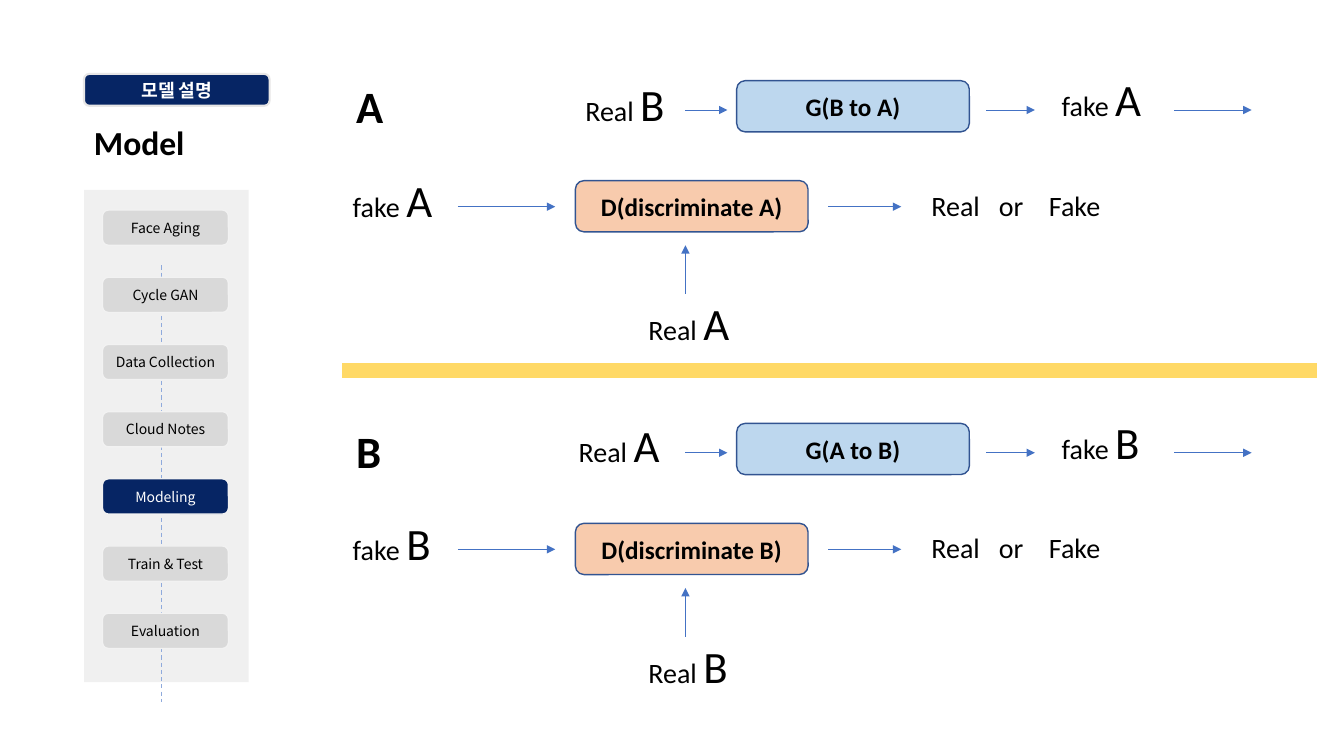
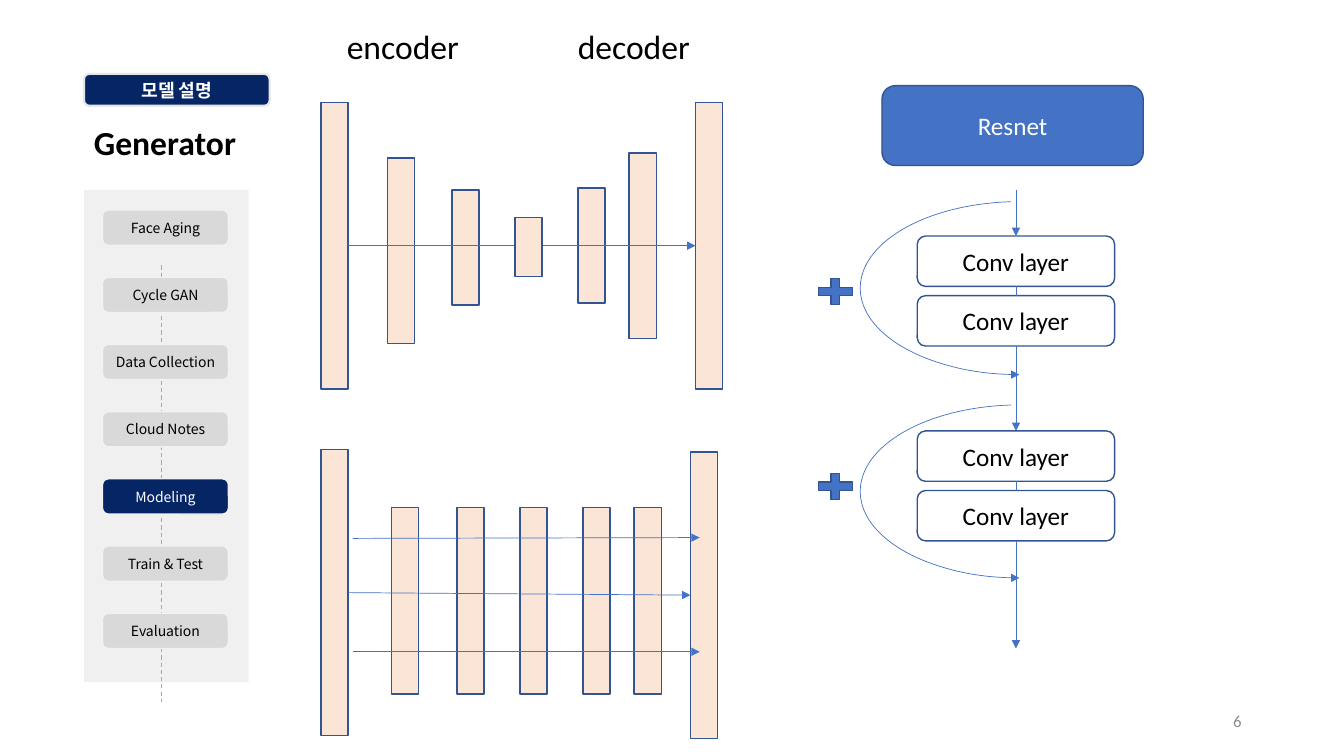
from dataclasses import dataclass

from pptx import Presentation
from pptx.dml.color import RGBColor
from pptx.enum.dml import MSO_LINE
from pptx.enum.shapes import MSO_CONNECTOR, MSO_SHAPE
from pptx.enum.text import MSO_ANCHOR, PP_ALIGN
from pptx.oxml.ns import qn
from pptx.util import Inches, Pt
from lxml.etree import SubElement

COLUMNS, ROWS = 160, 90
TOP, LEFT, BOTTOM, RIGHT = range(4)
STEPS = ("Face Aging", "Cycle GAN", "Data Collection", "Cloud Notes",
         "Modeling", "Train & Test", "Evaluation")


@dataclass(frozen=True)
class Theme:
    black: str = "000000"
    white: str = "FFFFFF"
    navy: str = "062564"
    grey: str = "D9D9D9"
    step_edge: str = "F2F2F2"
    tag_edge: str = "E7E6E6"
    spine: str = "8FAADC"
    page: str = "8C8C8C"
    blue: str = "4472C4"
    edge: str = "325491"
    generator: str = "BDD7EE"
    discriminator: str = "F8CBAD"
    layer: str = "FBE5D6"
    band: str = "FFD966"
    body_font: str = "Calibri"
    menu_font: str = "Noto Sans CJK KR"
    letter_size: int = 32
    title_size: int = 24
    label_size: int = 20
    box_size: int = 18
    tag_size: int = 13
    page_size: int = 12
    step_size: int = 10


THEME = Theme()


def write(shape, text, size=THEME.box_size, color=THEME.black, bold=False,
          font=THEME.body_font, align=PP_ALIGN.LEFT, anchor=MSO_ANCHOR.TOP,
          tabs=()):
    """Fill a shape with a string, or with (string, size) runs; tabs are in columns."""
    frame = shape.text_frame
    frame.word_wrap = True
    frame.vertical_anchor = anchor
    paragraph = frame.paragraphs[0]
    paragraph.alignment = align
    if tabs:
        tab_list = SubElement(paragraph._p.get_or_add_pPr(), qn("a:tabLst"))
        for column in tabs:
            SubElement(tab_list, qn("a:tab"), pos=str(Inches(column / 12)), algn="l")
    for words, run_size in [(text, size)] if isinstance(text, str) else text:
        run = paragraph.add_run()
        run.text = words
        run.font.size = Pt(run_size)
        run.font.bold = bold
        run.font.name = font
        run.font.color.rgb = RGBColor.from_string(color)
        SubElement(run._r.get_or_add_rPr(), qn("a:ea"), typeface=font)


class Deck:
    """Draws on the current slide, with lengths in columns and rows."""

    def __init__(self, theme):
        self.theme = theme
        self.presentation = Presentation()
        self.presentation.slide_width = Inches(13.3333)
        self.presentation.slide_height = Inches(7.5)
        self.slide = None

    def place(self, column, row):
        return (round(self.presentation.slide_width * column / COLUMNS),
                round(self.presentation.slide_height * row / ROWS))

    def text(self, column, row, width, height, words, **style):
        shape = self.slide.shapes.add_textbox(*self.place(column, row),
                                              *self.place(width, height))
        write(shape, words, **style)

    def box(self, column, row, width, height, fill=None, edge=None, edge_width=1,
            kind=MSO_SHAPE.RECTANGLE, alpha=None, words=None, **style):
        shape = self.slide.shapes.add_shape(kind, *self.place(column, row),
                                            *self.place(width, height))
        shape.shadow.inherit = False
        if fill:
            shape.fill.solid()
            shape.fill.fore_color.rgb = RGBColor.from_string(fill)
        else:
            shape.fill.background()
        if alpha:
            color = shape._element.spPr.find(qn("a:solidFill"))[0]
            SubElement(color, qn("a:alpha"), val=str(alpha * 1000))
        if edge:
            shape.line.color.rgb = RGBColor.from_string(edge)
            shape.line.width = Pt(edge_width)
        else:
            shape.line.fill.background()
        if words:
            frame = shape.text_frame
            frame.margin_left = frame.margin_right = 0
            write(shape, words, align=PP_ALIGN.CENTER, anchor=MSO_ANCHOR.MIDDLE, **style)
        return shape

    def rounded(self, *area, **style):
        return self.box(*area, kind=MSO_SHAPE.ROUNDED_RECTANGLE, **style)

    def line(self, start, end, color=None, width=0.5, arrow=True, dash=None):
        """Each end is a (column, row) point or a (shape, side) joint."""
        joined_start, joined_end = (not isinstance(p[0], (int, float)) for p in (start, end))
        connector = self.slide.shapes.add_connector(
            MSO_CONNECTOR.STRAIGHT,
            *((0, 0) if joined_start else self.place(*start)),
            *((0, 0) if joined_end else self.place(*end)))
        if joined_start:
            connector.begin_connect(*start)
        if joined_end:
            connector.end_connect(*end)
        connector.line.color.rgb = RGBColor.from_string(color or self.theme.blue)
        connector.line.width = Pt(width)
        if dash:
            connector.line.dash_style = dash
        properties = connector._element.spPr
        if arrow:
            SubElement(properties.find(qn("a:ln")), qn("a:tailEnd"), type="triangle")
        SubElement(properties, qn("a:effectLst"))

    def skip_arc(self, column, row, width, height):
        """Left-hand arc that runs from the top down to an arrowhead."""
        arc = self.box(column, row, width, height, edge=self.theme.blue,
                       edge_width=0.5, kind=MSO_SHAPE.ARC)
        arc.adjustments[0] = 162
        arc.adjustments[1] = 50.583
        arc.rotation = 180
        SubElement(arc._element.spPr.find(qn("a:ln")), qn("a:headEnd"), type="triangle")

    def layer_bar(self, column, row, height):
        return self.box(column, row, 3.24, height, fill=self.theme.layer,
                        edge=self.theme.edge)

    def labelled(self, column, row, word, letter):
        theme = self.theme
        self.text(column, row, 15, 7.7,
                  [(word + " ", theme.label_size), (letter, theme.letter_size)])

    def start_slide(self, title, current="Modeling"):
        """Add a slide with its section tag, title and step menu."""
        theme = self.theme
        self.slide = self.presentation.slides.add_slide(
            self.presentation.slide_layouts[6])
        self.text(10, 13.9, 24, 6, title, size=theme.title_size, bold=True)
        self.rounded(10, 8.8, 22.1, 3.8, fill=theme.navy, edge=theme.tag_edge,
                     edge_width=1.5, words="모델 설명", size=theme.tag_size,
                     color=theme.white, bold=True, font=theme.menu_font)
        self.box(10, 22.6, 19.6, 58.6, fill=theme.grey, alpha=37)
        self.line((19.2, 31.6), (19.2, 83.6), color=theme.spine, width=0.75,
                  arrow=False, dash=MSO_LINE.DASH)
        for index, step in enumerate(STEPS):
            active = step == current
            self.rounded(12.2, 25 + 8 * index, 15, 4.2,
                         fill=theme.navy if active else theme.grey,
                         edge=theme.step_edge, words=step, size=theme.step_size,
                         color=theme.white if active else theme.black,
                         font=theme.menu_font)


def draw_cycle(deck, top, heading_row, source_at, source, target):
    """One generator and discriminator pair that produces the target domain."""
    theme = deck.theme
    deck.text(41.2, heading_row, 7.6, 7.7, target, size=theme.letter_size, bold=True)
    deck.labelled(*source_at, "Real", source)
    for column, row, fill, words in (
            (87.7, 9.6, theme.generator, f"G({source} to {target})"),
            (68.5, 21.5, theme.discriminator, f"D(discriminate {target})")):
        deck.rounded(column, top + row, 27.7, 6.1, fill=fill, edge=theme.edge,
                     words=words, bold=True)
    for column, row, word in ((125.2, 8, "fake"), (40.8, 20, "fake"), (76, 34.6, "Real")):
        deck.labelled(column, top + row, word, target)
    for row, start, end in ((13.1, 81.6, 86.6), (13.1, 117.4, 123.2), (13.1, 139.8, 149),
                            (24.6, 54.5, 66.1), (24.6, 98.6, 107.3)):
        deck.line((start, top + row), (end, top + row))
    deck.line((81.6, top + 35), (81.6, top + 29.2))
    deck.text(109.7, top + 21.8, 22.6, 5.3, "Real\tor\tFake",
              size=theme.label_size, tabs=(8.05, 14))


def draw_model(deck):
    deck.start_slide("Model")
    deck.box(40.6, 43.1, 116.3, 2, fill=deck.theme.band, edge=deck.theme.white)
    draw_cycle(deck, 0, 8.8, (68.5, 8.6), "B", "A")
    draw_cycle(deck, 40.8, 49.9, (67.7, 49.1), "A", "B")


def draw_encoder_decoder(deck):
    for column, words in ((40.1, "encoder"), (67.6, "decoder")):
        deck.text(column, 2.5, 19.6, 6, words, size=deck.theme.title_size)
    bars = [deck.layer_bar(*bar) for bar in (
        (38.2, 12.2, 34.1), (46.1, 18.8, 22.1), (53.8, 22.6, 13.7),
        (68.8, 22.4, 13.7), (74.9, 18.2, 22.1), (82.8, 12.2, 34.1))]
    deck.line((bars[0], RIGHT), (bars[-1], LEFT))
    deck.layer_bar(61.3, 25.9, 7)


def draw_residual_stack(deck):
    first = deck.layer_bar(38.2, 53.5, 34.1)
    for column in (46.6, 54.4, 61.9, 69.4, 75.5):
        deck.layer_bar(column, 60.4, 22.2)
    last = deck.layer_bar(82.2, 53.8, 34.1)
    deck.line((first, RIGHT), (last, LEFT))
    for start_row, end_row in ((64.1, 64), (77.6, 77.6)):
        deck.line((42, start_row), (83.3, end_row))


def draw_resnet(deck):
    theme = deck.theme
    deck.rounded(105, 10.2, 31.1, 9.5, fill=theme.blue, edge=theme.edge,
                 words="Resnet", color=theme.white)
    previous = (120.95, 22.6)
    for conv_row, arc_row, plus_row in ((28.1, 24, 32.6), (51.3, 48.2, 55.8)):
        upper, lower = [
            deck.rounded(109.2, row, 23.5, 6, fill=theme.white, edge=theme.edge,
                         words="Conv layer")
            for row in (conv_row, conv_row + 7.1)]
        deck.line(previous, (upper, TOP))
        deck.line((upper, BOTTOM), (lower, TOP), arrow=False)
        deck.skip_arc(102.4, arc_row, 37.9, 20.6)
        deck.box(96.7, plus_row, 5.5, 4.2, fill=theme.blue, edge=theme.edge,
                 kind=MSO_SHAPE.MATH_PLUS)
        previous = (lower, BOTTOM)
    deck.line(previous, (120.95, 77.2))


def draw_generator(deck):
    deck.start_slide("Generator")
    draw_encoder_decoder(deck)
    draw_residual_stack(deck)
    draw_resnet(deck)
    deck.text(113, 83.4, 36, 4.8, "6", size=deck.theme.page_size,
              color=deck.theme.page, align=PP_ALIGN.RIGHT, anchor=MSO_ANCHOR.MIDDLE)


def main():
    deck = Deck(THEME)
    draw_model(deck)
    draw_generator(deck)
    deck.presentation.save("out.pptx")


if __name__ == "__main__":
    main()
